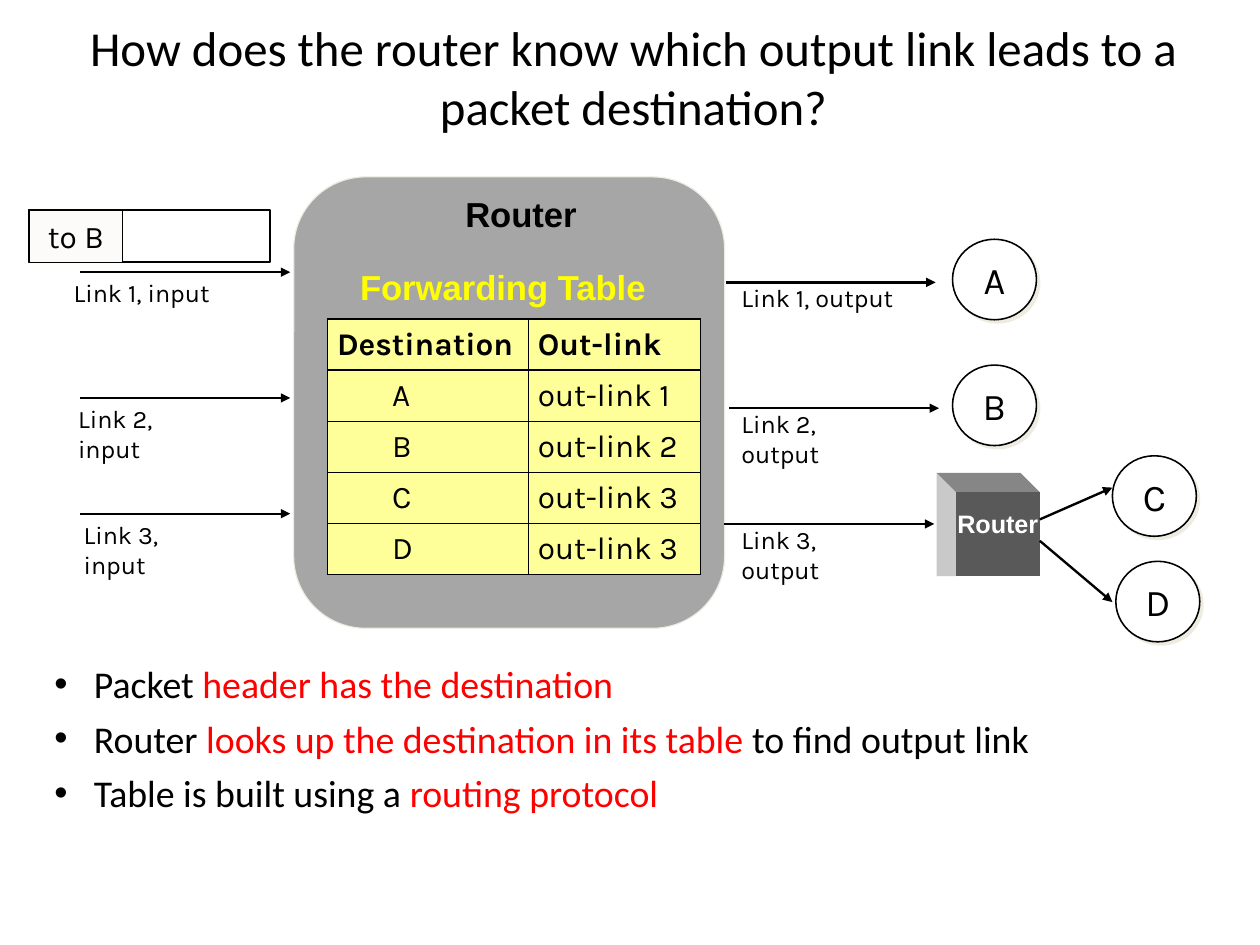
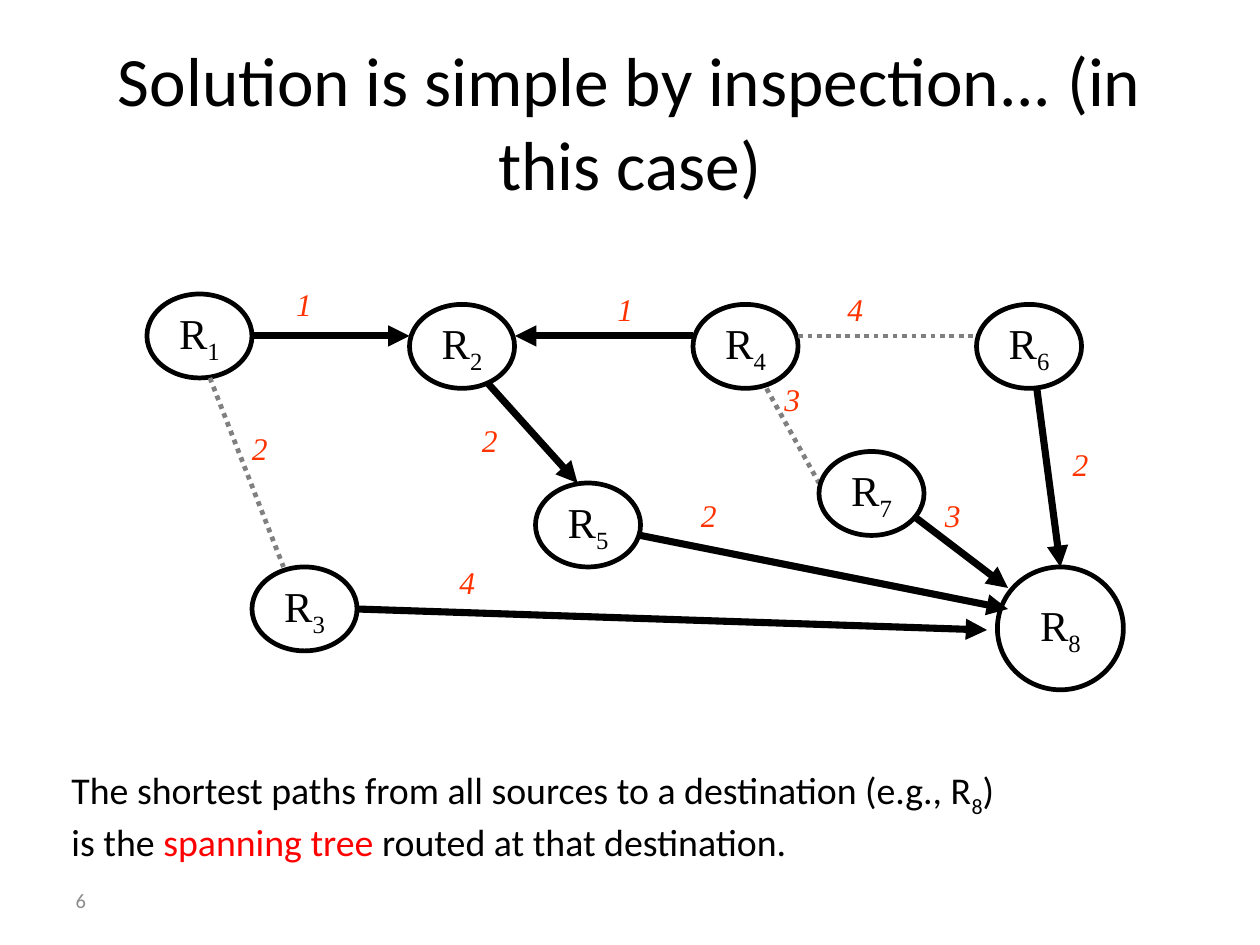
from lxml.etree import SubElement
from pptx import Presentation
from pptx.dml.color import RGBColor
from pptx.enum.dml import MSO_LINE
from pptx.enum.shapes import MSO_CONNECTOR, MSO_SHAPE
from pptx.enum.text import MSO_ANCHOR, MSO_AUTO_SIZE, PP_ALIGN
from pptx.oxml import parse_xml
from pptx.oxml.ns import nsdecls, qn
from pptx.util import Pt

BLACK = RGBColor(0, 0, 0)
WHITE = RGBColor(255, 255, 255)
RED = RGBColor(0xFF, 0, 0)
WEIGHT_RED = RGBColor(0xFF, 0x33, 0)
YELLOW = RGBColor(0xFF, 0xFF, 0)
TABLE_YELLOW = RGBColor(0xFF, 0xFF, 0x99)
ROUTER_GRAY = RGBColor(0xA6, 0xA6, 0xA6)
ROUTER_EDGE = RGBColor(0xEE, 0xEC, 0xE1)
HEADER_WHITE = RGBColor(0xFC, 0xFB, 0xF9)
UNUSED_GRAY = RGBColor(0x80, 0x80, 0x80)
NUMBER_GRAY = RGBColor(0x8C, 0x8C, 0x8C)
CUBE_FRONT = RGBColor(0x59, 0x59, 0x59)
CUBE_TOP = RGBColor(0x86, 0x86, 0x86)
CUBE_SIDE = RGBColor(0xC9, 0xC9, 0xC9)

BODY = {"name": "Calibri", "size": Pt(24), "color": BLACK}
LABEL = {"name": "Karla", "size": Pt(16), "color": BLACK}
CELL = LABEL | {"size": Pt(20)}
HOST = LABEL | {"size": Pt(24)}
HEADING = {"name": "Arial", "size": Pt(22), "bold": True, "color": BLACK}
NODE = {"name": "Times New Roman", "size": Pt(27), "color": BLACK}
WEIGHT = NODE | {"size": Pt(20), "italic": True, "color": WEIGHT_RED}
SUBSCRIPT = {"baseline": "-25000"}
HIGHLIGHT = {"color": RED}

CENTER = {"alignment": PP_ALIGN.CENTER}
MIDDLE = {"vertical_anchor": MSO_ANCHOR.MIDDLE}
WIDE_INSETS = {"margin_left": Pt(8), "margin_right": Pt(8),
               "margin_top": Pt(4), "margin_bottom": Pt(4)}

ROW_TOPS = (172.8, 252.7, 326.2)
ROUTES = [("Destination", "Out-link"), ("A", "out-link 1"), ("B", "out-link 2"),
          ("C", "out-link 3"), ("D", "out-link 3")]

# Router number: left, top, width, height
BACK_NODES = {3: (160, 360, 66.7, 53.3), 1: (93.3, 186.7, 66.7, 53.3),
              5: (340, 306.7, 66.7, 53.3), 4: (440, 193.3, 66.7, 53.3),
              8: (633.3, 360, 80, 78), 6: (620, 193.3, 66.7, 53.3)}
FRONT_NODES = {2: (260, 193.3, 66.7, 53.3), 7: (520, 286.7, 66.7, 53.3)}
TREE_LINKS = [(160, 213.3, 260, 213.3), (440, 213.3, 327, 213.3),
              (226.7, 386.7, 626.7, 400), (570, 320, 640, 373.3),
              (658.3, 246.7, 673.3, 360), (306.7, 240, 366.7, 306.7),
              (406.7, 340, 640, 386.7)]
UNUSED_LINKS = [(506.7, 213.3, 620, 213.3), (133.3, 240, 180, 360),
                (486.7, 246.7, 520, 306.7)]
WEIGHTS = [("1", 180, 177), ("1", 384, 180), ("4", 530, 180), ("2", 673, 278.6),
           ("4", 283.7, 353.5), ("2", 152, 268.6), ("2", 298, 263),
           ("3", 490, 237), ("2", 437, 311), ("3", 592, 311)]


def points(*values):
    return [Pt(value) for value in values]


def apply(target, values):
    for name, value in values.items():
        setattr(target, name, value)


def style_run(run, values):
    for name, value in values.items():
        if name == "color":
            run.font.color.rgb = value
        elif name == "baseline":
            run._r.get_or_add_rPr().set("baseline", value)
        else:
            setattr(run.font, name, value)


def write(frame, paragraphs, font, layout=None, paragraph_format=None):
    """Fill a frame; each paragraph is a string or a list of (text, font changes)."""
    apply(frame, {"word_wrap": True, "auto_size": MSO_AUTO_SIZE.NONE} | (layout or {}))
    for index, content in enumerate(paragraphs):
        paragraph = frame.add_paragraph() if index else frame.paragraphs[0]
        apply(paragraph, paragraph_format or {})
        for text, changes in [(content, {})] if isinstance(content, str) else content:
            run = paragraph.add_run()
            run.text = text
            style_run(run, font | changes)


def add_text(slide, box, paragraphs, font, layout=None, paragraph_format=None):
    frame = slide.shapes.add_textbox(*points(*box)).text_frame
    write(frame, paragraphs, font, layout, paragraph_format)
    return frame


def add_title(slide, box, text, size):
    title = slide.shapes.title
    apply(title, dict(zip(("left", "top", "width", "height"), points(*box))))
    write(title.text_frame, [text], BODY | {"size": Pt(size)}, MIDDLE | WIDE_INSETS, CENTER)


def paint(shape, fill, line=None, width=1.0):
    shape.shadow.inherit = False
    shape.fill.solid()
    shape.fill.fore_color.rgb = fill
    if line is None:
        shape.line.fill.background()
    else:
        shape.line.color.rgb = line
        shape.line.width = Pt(width)


def add_outline(slide, preset, box, fill, line=BLACK, width=1.0):
    shape = slide.shapes.add_shape(preset, *points(*box))
    paint(shape, fill, line, width)
    return shape


def add_link(slide, ends, width, color=BLACK, arrow=True, dash=None):
    link = slide.shapes.add_connector(MSO_CONNECTOR.STRAIGHT, *points(*ends))
    link.line.color.rgb = color
    link.line.width = Pt(width)
    if dash is not None:
        link.line.dash_style = dash
    if arrow:
        SubElement(link.line._get_or_add_ln(), qn("a:tailEnd"), type="triangle")
    SubElement(link._element.spPr, qn("a:effectLst"))


def add_host(slide, name, left, top):
    host = add_outline(slide, MSO_SHAPE.OVAL, (left, top, 53.3, 51.1), WHITE)
    effects = host._element.spPr.find(qn("a:effectLst"))
    effects.append(parse_xml(
        f'<a:outerShdw {nsdecls("a")} dist="35560" dir="2700000" algn="ctr" rotWithShape="0">'
        f'<a:srgbClr val="{ROUTER_EDGE}"/></a:outerShdw>'))
    write(host.text_frame, [name], HOST, MIDDLE, CENTER)


def add_cube(slide, left, top, side, depth):
    """Draw a cube whose depth recedes to the upper left."""
    right, bottom = left + side, top + side
    faces = [
        (CUBE_TOP, [(left, top), (right, top), (right - depth, top - depth),
                    (left - depth, top - depth)]),
        (CUBE_SIDE, [(left, top), (left, bottom), (left - depth, bottom),
                     (left - depth, top - depth)]),
        (CUBE_FRONT, [(left, top), (right, top), (right, bottom), (left, bottom)]),
    ]
    for color, corners in faces:
        first, *others = [points(*corner) for corner in corners]
        outline = slide.shapes.build_freeform(*first)
        outline.add_line_segments(others)
        paint(outline.convert_to_shape(), color)


def border_cell(cell):
    properties = cell._tc.get_or_add_tcPr()
    for index, side in enumerate(("lnL", "lnR", "lnT", "lnB")):
        properties.insert(index, parse_xml(
            f'<a:{side} {nsdecls("a")} w="12700"><a:solidFill>'
            f'<a:srgbClr val="{BLACK}"/></a:solidFill></a:{side}>'))


def add_forwarding_table(slide):
    height = 32.5
    table = slide.shapes.add_table(
        len(ROUTES), 2, *points(208, 202.5, 237, height * len(ROUTES))).table
    for column, width in zip(table.columns, (127.5, 109.5)):
        column.width = Pt(width)
    for row_index, route in enumerate(ROUTES):
        table.rows[row_index].height = Pt(height)
        is_header = row_index == 0
        for column_index, text in enumerate(route):
            cell = table.cell(row_index, column_index)
            cell.fill.solid()
            cell.fill.fore_color.rgb = TABLE_YELLOW
            border_cell(cell)
            indent = 6 if is_header or column_index else 41
            apply(cell, MIDDLE | {"margin_left": Pt(indent), "margin_right": Pt(2),
                                  "margin_top": Pt(3), "margin_bottom": Pt(3)})
            run = cell.text_frame.paragraphs[0].add_run()
            run.text = text
            style_run(run, CELL | {"bold": is_header})


def add_bullets(slide, box, paragraphs):
    frame = add_text(slide, box, paragraphs, BODY, WIDE_INSETS,
                     {"line_spacing": 0.8, "space_before": Pt(4.8), "space_after": Pt(6.7)})
    for paragraph in frame.paragraphs:
        properties = paragraph._p.get_or_add_pPr()
        apply_indent = {"marL": Pt(25), "indent": Pt(-25)}
        for name, value in apply_indent.items():
            properties.set(name, str(value))
        SubElement(properties, qn("a:buFont"), typeface="Arial")
        SubElement(properties, qn("a:buChar"), char="•")


def add_nodes(slide, nodes):
    for number, box in nodes.items():
        node = add_outline(slide, MSO_SHAPE.OVAL, box, WHITE, width=3)
        write(node.text_frame, [[("R", {}), (str(number), SUBSCRIPT)]], NODE,
              MIDDLE | WIDE_INSETS | {"word_wrap": False}, CENTER)


def build_forwarding_slide(slide):
    add_title(slide, (18, -1.4, 768.2, 100),
              "How does the router know which output link leads to a packet destination?", 31)
    body = add_outline(slide, MSO_SHAPE.ROUNDED_RECTANGLE, (186.5, 112.3, 273.6, 286.6),
                       ROUTER_GRAY, ROUTER_EDGE, 0.75)
    body.adjustments[0] = 0.167

    input_labels = [(39.6, 110), (42.5, 80), (46, 80)]
    outputs = [(460.8, 150), (463, 80), (460, 80)]
    rows = zip(ROW_TOPS, input_labels, outputs)
    for number, (y, (label_left, label_width), (start, output_width)) in enumerate(rows, 1):
        add_link(slide, (51, y, 184.3, y), 1.5)
        add_text(slide, (label_left, y, label_width, 26.6), [f"Link {number}, input"], LABEL)
        output_y = y + 6.5
        add_link(slide, (start, output_y, start + 133.2, output_y), 1.5)
        add_text(slide, (463.7, y + 3, output_width, 26.6), [f"Link {number}, output"], LABEL)

    for host in [("A", 604.8, 151.9), ("B", 604.8, 231.8),
                 ("C", 706.3, 289.4), ("D", 708.5, 356.4)]:
        add_host(slide, *host)
    add_cube(slide, 606.9, 312.5, 53.3, 12.2)
    add_text(slide, (586.8, 319, 93.6, 26.6), ["Router"],
             HEADING | {"size": Pt(16), "color": WHITE}, None, CENTER)
    for ends in [(660.2, 329.8, 706.3, 309.6), (660.2, 343.4, 706.3, 382.3)]:
        add_link(slide, ends, 1.5)

    add_text(slide, (213.1, 118.8, 235.4, 34.6), ["Router"], HEADING, None, CENTER)
    add_text(slide, (201.6, 165, 235.4, 34.6), ["Forwarding Table"],
             HEADING | {"color": YELLOW}, None, CENTER)
    add_forwarding_table(slide)

    add_outline(slide, MSO_SHAPE.RECTANGLE, (18, 133.2, 153.4, 33.1), WHITE)
    header = add_outline(slide, MSO_SHAPE.RECTANGLE, (18.7, 133.2, 59, 33.5), HEADER_WHITE)
    write(header.text_frame, ["to B"], CELL, MIDDLE | {"word_wrap": False}, CENTER)

    add_bullets(slide, (26.6, 421.2, 760, 160), [
        [("Packet ", {}), ("header has the destination", HIGHLIGHT)],
        [("Router ", {}), ("looks up the destination in its table ", HIGHLIGHT),
         ("to find output link", {})],
        [("Table is built using a ", {}), ("routing protocol", HIGHLIGHT)],
    ])


def build_shortest_path_slide(slide):
    add_title(slide, (60, 26.7, 680, 100),
              "Solution is simple by inspection... (in this case)", 44)
    add_nodes(slide, BACK_NODES)
    for ends in TREE_LINKS:
        add_link(slide, ends, 4.5)
    for ends in UNUSED_LINKS:
        add_link(slide, ends, 3, UNUSED_GRAY, arrow=False, dash=MSO_LINE.ROUND_DOT)
    add_nodes(slide, FRONT_NODES)
    for weight, left, top in WEIGHTS:
        add_text(slide, (left, top, 26, 32.4), [weight], WEIGHT,
                 WIDE_INSETS | {"word_wrap": False})
    add_text(slide, (37.4, 483, 620, 66.2), [
        [("The shortest paths from all sources to a destination (e.g., R", {}),
         ("8", SUBSCRIPT), (")", {})],
        [("is the ", {}), ("spanning tree", HIGHLIGHT),
         (" routed at that destination.", {})],
    ], BODY, WIDE_INSETS)
    add_text(slide, (40, 556, 186.5, 31.7), ["6"],
             BODY | {"size": Pt(13), "color": NUMBER_GRAY}, MIDDLE | WIDE_INSETS)


def main():
    deck = Presentation()
    apply(deck, {"slide_width": Pt(800), "slide_height": Pt(600)})
    title_only = deck.slide_layouts[5]
    for build in (build_forwarding_slide, build_shortest_path_slide):
        build(deck.slides.add_slide(title_only))
    deck.save("out.pptx")


if __name__ == "__main__":
    main()
